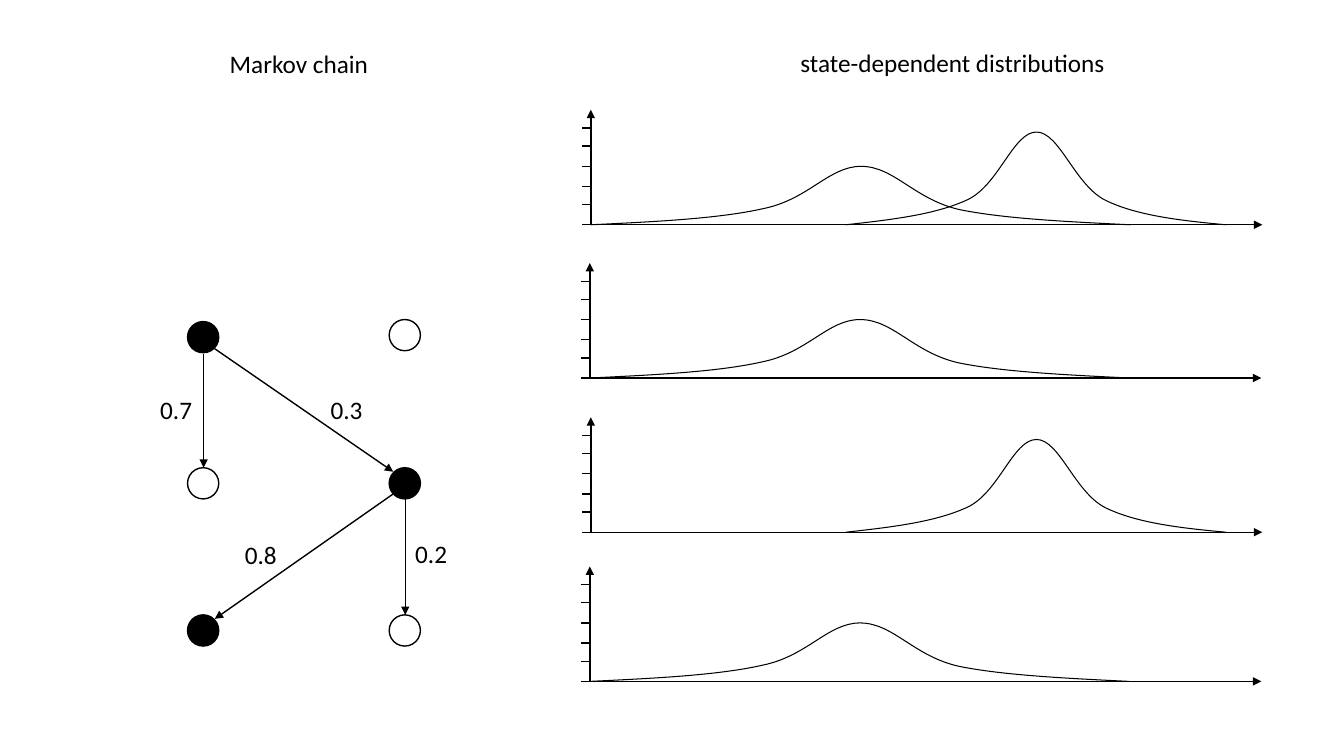
from pptx import Presentation
from pptx.dml.color import RGBColor
from pptx.enum import shapes as kinds
from pptx.oxml import ns
from pptx.util import Inches, Pt
from lxml import etree

COLORS = {"ink": "000000", "paper": "FFFFFF"}
FONT = "Calibri"

# Markov chain: circle size, and (left, top, visited) of each state
STATE_SIZE = 0.31
STATES = [
    (1.86, 3.19, True), (3.86, 3.17, False),
    (1.86, 4.64, False), (3.86, 4.64, True),
    (1.86, 6.1, True), (3.86, 6.1, False),
]
# Start, end, then label text and its box position
TRANSITIONS = [
    ((2.13, 3.46), (3.9, 4.68), "0.3", (3.18, 3.86)),
    ((2.02, 3.51), (2.02, 4.64), "0.7", (1.49, 3.86)),
    ((4.02, 4.95), (4.02, 6.1), "0.2", (4.02, 5.29)),
    ((3.9, 4.9), (2.13, 6.14), "0.8", (2.33, 5.3)),
]

# Density curves: Bezier points as (right, up) from the plot's origin
WIDE = [
    (0, 0), (0.63, 0.03), (1.27, 0.06), (1.71, 0.16),
    (2.16, 0.25), (2.36, 0.58), (2.68, 0.58),
    (3.01, 0.58), (3.21, 0.25), (3.66, 0.15),
    (4.1, 0.06), (4.73, 0.03), (5.35, 0),
]
NARROW = [
    (2.53, 0), (2.98, 0.05), (3.42, 0.1), (3.74, 0.25),
    (4.05, 0.4), (4.19, 0.92), (4.42, 0.92),
    (4.65, 0.92), (4.8, 0.39), (5.11, 0.24),
    (5.42, 0.09), (5.86, 0.04), (6.3, 0),
]
# Origin of each plot and the densities it shows
PLOTS = [
    (5.86, 2.23, [WIDE, NARROW]),
    (5.85, 3.75, [WIDE]),
    (5.86, 5.28, [NARROW]),
    (5.85, 6.76, [WIDE]),
]
AXIS_LENGTH, AXIS_HEIGHT = 6.66, 1.14
TICK_LENGTH = 0.09
TICK_HEIGHTS = [0, 0.2, 0.38, 0.58, 0.78, 0.96]


def color(name):
    return RGBColor.from_string(COLORS[name])


def set_line(line, width=1):
    line.color.rgb = color("ink")
    line.width = Pt(width)


def add_label(slide, content, left, top, width=0.73, size=18, ink="ink"):
    box = slide.shapes.add_textbox(Inches(left), Inches(top), Inches(width), Inches(0.4))
    box.text_frame.word_wrap = True
    run = box.text_frame.paragraphs[0].add_run()
    run.text = content
    run.font.name = FONT
    run.font.size = Pt(size)
    run.font.color.rgb = color(ink)


def add_line(slide, start, end, arrow=False):
    line = slide.shapes.add_connector(
        kinds.MSO_CONNECTOR.STRAIGHT, *map(Inches, (*start, *end)))
    set_line(line.line)
    properties = line._element.spPr
    if arrow:
        outline = line.line._get_or_add_ln()
        etree.SubElement(outline, ns.qn("a:tailEnd"), type="triangle")
    etree.SubElement(properties, ns.qn("a:effectLst"))


def add_state(slide, left, top, visited):
    state = slide.shapes.add_shape(
        kinds.MSO_SHAPE.OVAL, Inches(left), Inches(top),
        Inches(STATE_SIZE), Inches(STATE_SIZE))
    state.shadow.inherit = False
    state.fill.solid()
    state.fill.fore_color.rgb = color("ink" if visited else "paper")
    set_line(state.line)


def add_density(slide, x, y, points):
    corners = [(Inches(x + right), Inches(y - up)) for right, up in points]
    builder = slide.shapes.build_freeform(*corners[0])
    builder.add_line_segments(corners[1:], close=False)
    density = builder.convert_to_shape()
    density.shadow.inherit = False
    density.fill.background()
    set_line(density.line, 0.75)

    # Join every three straight segments into one cubic Bezier
    outline = next(density._element.iter(ns.qn("a:path")))
    segments = outline.findall(ns.qn("a:lnTo"))
    for first in range(0, len(segments), 3):
        bezier = etree.SubElement(outline, ns.qn("a:cubicBezTo"))
        for segment in segments[first:first + 3]:
            bezier.append(segment[0])
            outline.remove(segment)


def add_plot(slide, x, y, densities):
    add_line(slide, (x, y), (x + AXIS_LENGTH, y), arrow=True)
    add_line(slide, (x, y), (x, y - AXIS_HEIGHT), arrow=True)
    for height in TICK_HEIGHTS:
        add_line(slide, (x, y - height), (x - TICK_LENGTH, y - height))
    for points in densities:
        add_density(slide, x, y, points)


def main():
    deck = Presentation()
    deck.slide_width, deck.slide_height = Inches(13.33), Inches(7.5)
    slide = deck.slides.add_slide(deck.slide_layouts.get_by_name("Blank"))

    # Column headings
    add_label(slide, "Markov chain", 2.18, 0.43, width=1.62)
    add_label(slide, "state-dependent distributions", 7.84, 0.42, width=3.68)

    # Markov chain
    for left, top, visited in STATES:
        add_state(slide, left, top, visited)
    for start, end, probability, place in TRANSITIONS:
        add_line(slide, start, end, arrow=True)
        add_label(slide, probability, *place)

    # Distributions
    for x, y, densities in PLOTS:
        add_plot(slide, x, y, densities)

    deck.save("out.pptx")


if __name__ == "__main__":
    main()
